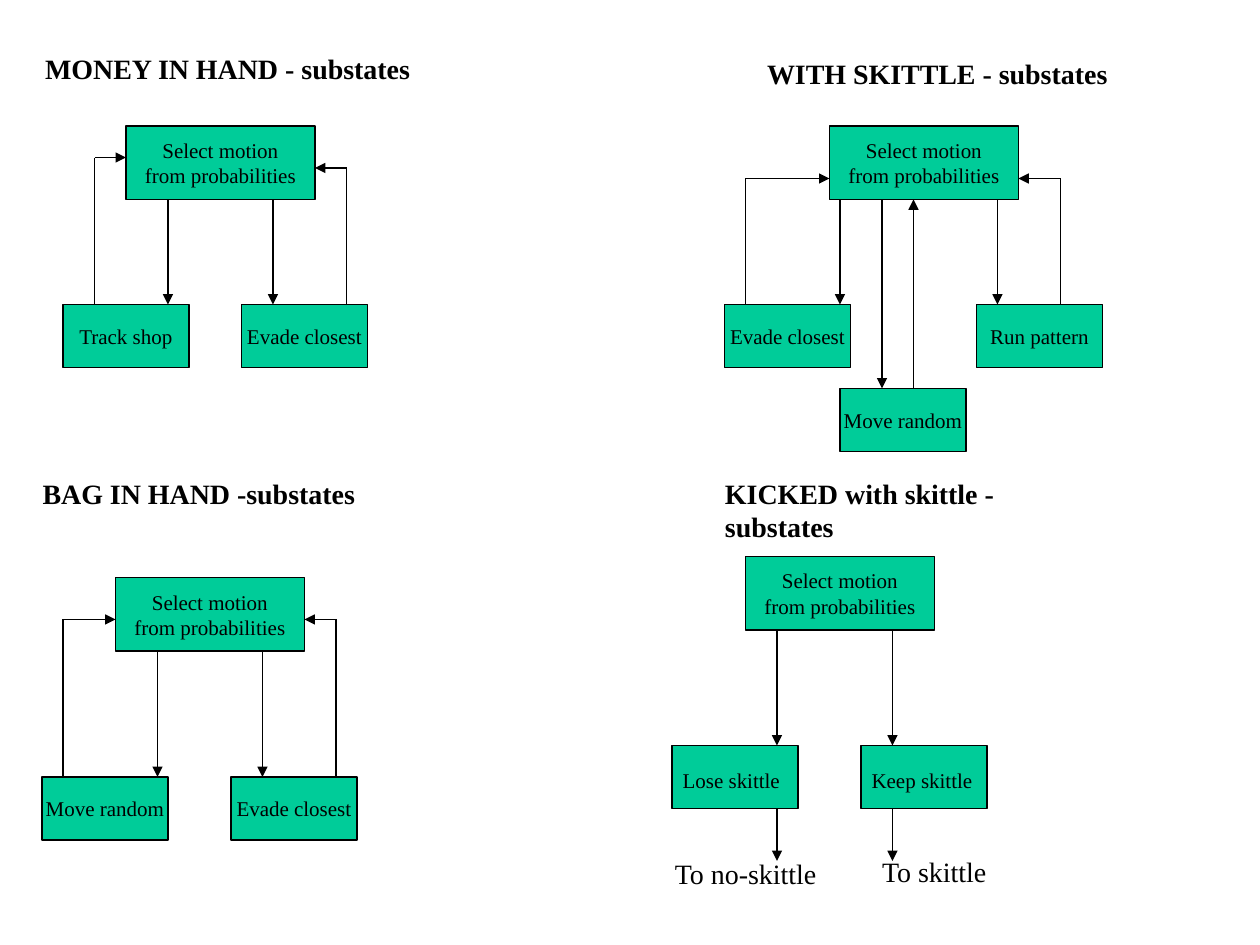
from pptx import Presentation
from pptx.dml.color import RGBColor
from pptx.enum.shapes import MSO_CONNECTOR, MSO_SHAPE
from pptx.enum.text import MSO_ANCHOR, PP_ALIGN
from pptx.oxml.ns import qn
from pptx.util import Pt
from lxml import etree

RECTANGLE = MSO_SHAPE.RECTANGLE
STRAIGHT = MSO_CONNECTOR.STRAIGHT
MIDDLE = MSO_ANCHOR.MIDDLE
CENTER, LEFT = PP_ALIGN.CENTER, PP_ALIGN.LEFT

COLORS = {"box": "00CC99", "ink": "000000"}
FONT = "Times New Roman"
LINE_WIDTH = 0.75
SELECTOR_TEXT = "Select motion\nfrom probabilities"
SELECTOR_SIZE = (108, 42)
STATE_SIZE = (72, 36)

# Content: states are (name, left, top, x of arrow down, return path);
# a return path is (x, y where it enters the selector) or None
DIAGRAMS = [
    {"heading": ("MONEY IN HAND - substates", 18.7, 25.9, 223),
     "selector": (72, 72),
     "states": [("Track shop", 36, 174, 96, (54, 90)),
                ("Evade closest", 138, 174, 156, (198, 96))]},
    {"heading": ("BAG IN HAND -substates", 17.2, 268.6, 193),
     "selector": (66, 330),
     "states": [("Evade closest", 132, 444, 150, (192, 354)),
                ("Move random", 24, 444, 90, (36, 354))]},
    {"heading": ("WITH SKITTLE - substates", 431.2, 28.8, 209),
     "selector": (474, 72),
     "states": [("Evade closest", 414, 174, 480, (426, 102)),
                ("Move random", 480, 222, 504, (522, 114)),
                ("Run pattern", 558, 174, 570, (606, 102))]},
    {"heading": ("KICKED with skittle - substates", 407.2, 268.6, 234),
     "selector": (426, 318),
     "states": [("", 384, 426, 444, None),
                ("", 492, 426, 510, None)]},
]

# Labels of the two skittle outcomes: text, left, top, width, height, size
OUTCOME_LABELS = [
    ("Lose skittle", 383, 435, 70, 21.8, 12),
    ("Keep skittle", 491, 435, 72, 21.8, 12),
    ("To no-skittle", 378.6, 486, 96.5, 26.6, 16),
    ("To skittle", 497, 484.6, 75, 26.6, 16),
]
EXIT_ARROWS = [444, 510]
EXIT_TOP, EXIT_BOTTOM = 462, 492


def color(name):
    return RGBColor.from_string(COLORS[name])


def write(shape, text, size, bold=False, align=LEFT):
    text_frame = shape.text_frame
    text_frame.text = text
    text_frame.word_wrap = False
    for paragraph in text_frame.paragraphs:
        paragraph.alignment = align
        for run in paragraph.runs:
            run.font.name = FONT
            run.font.size = Pt(size)
            run.font.bold = bold
            run.font.color.rgb = color("ink")


def add_label(slide, text, left, top, width, height, size, bold=False):
    label = slide.shapes.add_textbox(Pt(left), Pt(top), Pt(width), Pt(height))
    write(label, text, size, bold)


def add_box(slide, text, left, top, size):
    box = slide.shapes.add_shape(RECTANGLE, Pt(left), Pt(top), *map(Pt, size))
    box.shadow.inherit = False
    box.fill.solid()
    box.fill.fore_color.rgb = color("box")
    box.line.color.rgb = color("ink")
    box.line.width = Pt(LINE_WIDTH)
    if text:
        box.text_frame.vertical_anchor = MIDDLE
        write(box, text, 12, align=CENTER)


def add_line(slide, start, end, arrow=True):
    connector = slide.shapes.add_connector(STRAIGHT, *map(Pt, start + end))
    connector.line.color.rgb = color("ink")
    connector.line.width = Pt(LINE_WIDTH)
    properties = connector._element.spPr
    if arrow:
        etree.SubElement(properties.find(qn("a:ln")), qn("a:tailEnd"), type="triangle")
    etree.SubElement(properties, qn("a:effectLst"))


def add_return(slide, selector_left, state_top, x, y):
    """Lead from a state back to the selector, turning in from the side if needed."""
    selector_right = selector_left + SELECTOR_SIZE[0]
    beside = not selector_left <= x <= selector_right
    add_line(slide, (x, state_top), (x, y), arrow=not beside)
    if beside:
        edge = selector_left if x < selector_left else selector_right
        add_line(slide, (x, y), (edge, y))


def add_diagram(slide, diagram):
    heading, left, top, width = diagram["heading"]
    add_label(slide, heading, left, top, width, 26.6, 16, bold=True)
    selector_left, selector_top = diagram["selector"]
    add_box(slide, SELECTOR_TEXT, selector_left, selector_top, SELECTOR_SIZE)
    selector_bottom = selector_top + SELECTOR_SIZE[1]
    for name, state_left, state_top, down_x, return_path in diagram["states"]:
        add_box(slide, name, state_left, state_top, STATE_SIZE)
        add_line(slide, (down_x, selector_bottom), (down_x, state_top))
        if return_path:
            add_return(slide, selector_left, state_top, *return_path)


def main():
    presentation = Presentation()
    presentation.slide_width, presentation.slide_height = Pt(720), Pt(540)
    slide = presentation.slides.add_slide(presentation.slide_layouts[6])

    # Four state diagrams
    for diagram in DIAGRAMS:
        add_diagram(slide, diagram)

    # Outcomes of being kicked
    for x in EXIT_ARROWS:
        add_line(slide, (x, EXIT_TOP), (x, EXIT_BOTTOM))
    for label in OUTCOME_LABELS:
        add_label(slide, *label)

    presentation.save("out.pptx")


if __name__ == "__main__":
    main()
